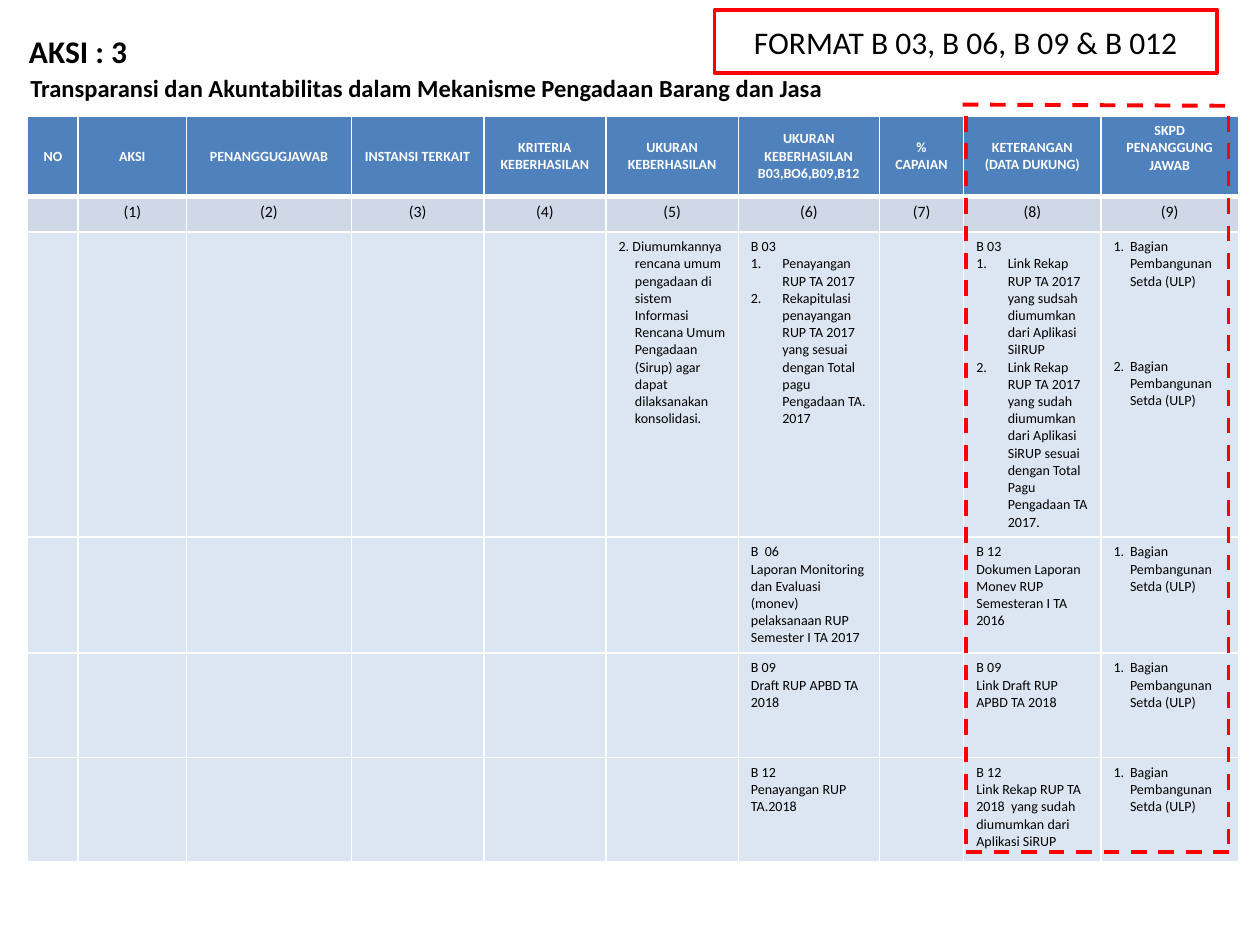
from lxml.etree import SubElement as Sub
from pptx import Presentation
from pptx.dml.color import RGBColor
from pptx.enum.dml import MSO_LINE as Dash
from pptx.enum.shapes import MSO_CONNECTOR as Conn, MSO_SHAPE as Shape
from pptx.enum.text import MSO_ANCHOR as Anchor, MSO_AUTO_SIZE as Auto, PP_ALIGN as Align
from pptx.oxml.ns import qn
from pptx.util import Inches, Pt

BLACK = RGBColor(0x00, 0x00, 0x00)
WHITE = RGBColor(0xFF, 0xFF, 0xFF)
RED = RGBColor(0xFF, 0x00, 0x00)
BLUE = RGBColor(0x4F, 0x81, 0xBD)
GREY = RGBColor(0xD0, 0xD8, 0xE8)
PALE = RGBColor(0xDC, 0xE6, 0xF2)

COLS = [0.4, 0.86, 1.31, 1.05, 0.97, 1.05, 1.12, 0.67, 1.09, 1.09]
ROWS = [0.64, 0.28, 2.42, 0.92, 0.83, 0.83]
HEADS = ["NO", "AKSI", "PENANGGUGJAWAB", "INSTANSI TERKAIT", "KRITERIA KEBERHASILAN",
         "UKURAN KEBERHASILAN", "UKURAN KEBERHASILAN B03,BO6,B09,B12", "%\nCAPAIAN",
         "KETERANGAN (DATA DUKUNG)", "SKPD PENANGGUNG JAWAB"]
UNIT = "#Bagian Pembangunan Setda (ULP)"
BODY = [
    {5: "2. Diumumkannya rencana umum pengadaan di sistem Informasi Rencana Umum "
        "Pengadaan (Sirup) agar dapat dilaksanakan konsolidasi.",
     6: "B 03\n#Penayangan RUP TA 2017\n#Rekapitulasi penayangan RUP TA 2017 yang sesuai "
        "dengan Total pagu Pengadaan TA. 2017",
     8: "B 03\n#Link Rekap RUP TA 2017 yang sudsah diumumkan dari Aplikasi SiIRUP\n"
        "#Link Rekap RUP TA 2017 yang sudah diumumkan dari Aplikasi SiRUP sesuai "
        "dengan Total Pagu Pengadaan TA 2017.",
     9: f"{UNIT}\n{UNIT}"},
    {6: "B  06\nLaporan Monitoring dan Evaluasi (monev) pelaksanaan RUP Semester I TA 2017",
     8: "B 12\nDokumen Laporan Monev RUP Semesteran I TA 2016", 9: UNIT},
    {6: "B 09\nDraft RUP APBD TA 2018", 8: "B 09\nLink Draft RUP APBD TA 2018", 9: UNIT},
    {6: "B 12\nPenayangan RUP TA.2018",
     8: "B 12\nLink Rekap RUP TA 2018  yang sudah diumumkan dari  Aplikasi SiRUP", 9: UNIT},
]
HANG = {5: 0.13, 9: 0.13}


class Deck:
    """Draws styled elements on the current slide."""

    def __init__(self):
        self.prs = Presentation()
        self.apply(self.prs, slide_width=Inches(10), slide_height=Inches(7.5))
        self.slide = self.prs.slides.add_slide(self.prs.slide_layouts[1])

    def apply(self, item, **vals):
        for key, val in vals.items():
            setattr(item, key, val)

    def font(self, run, size, color=BLACK, bold=False):
        self.apply(run.font, name="Calibri", size=Pt(size), bold=bold)
        run.font.color.rgb = color

    def para(self, para, text, size, color=BLACK, bold=False, align=Align.LEFT):
        para.alignment = align
        run = para.add_run()
        run.text = text
        self.font(run, size, color, bold)

    def indent(self, para, hang, num=0):
        props = para._p.get_or_add_pPr()
        props.set("marL", str(Inches(hang)))
        props.set("indent", str(-Inches(hang)))
        if num:
            Sub(props, qn("a:buFont"), typeface="+mj-lt")
            Sub(props, qn("a:buAutoNum"), type="arabicPeriod", startAt=str(num))
        else:
            Sub(props, qn("a:buNone"))

    def holder(self, index, text, size, box):
        item = self.slide.placeholders[index]
        self.apply(item, **dict(zip(("left", "top", "width", "height"), map(Inches, box))))
        self.apply(item.text_frame, word_wrap=True, auto_size=Auto.NONE,
                   vertical_anchor=Anchor.TOP)
        para = item.text_frame.paragraphs[0]
        para.space_before = Pt(0)
        self.indent(para, 0)
        self.para(para, text, size, bold=True)

    def badge(self, text, box):
        item = self.slide.shapes.add_shape(Shape.RECTANGLE, *map(Inches, box))
        item.shadow.inherit = False
        item.fill.solid()
        item.fill.fore_color.rgb = WHITE
        item.line.color.rgb = RED
        item.line.width = Pt(2)
        self.apply(item.text_frame, word_wrap=True, vertical_anchor=Anchor.MIDDLE)
        self.para(item.text_frame.paragraphs[0], text, 18, align=Align.CENTER)

    def dash(self, *ends):
        item = self.slide.shapes.add_connector(Conn.STRAIGHT, *map(Inches, ends))
        Sub(item._element.spPr, qn("a:effectLst"))
        item.line.color.rgb = RED
        self.apply(item.line, width=Pt(2.25), dash_style=Dash.DASH)

    def edges(self, cell, row):
        props = cell._tc.get_or_add_tcPr()
        thick = {(0, "B"), (1, "T")}
        for side in "LRTB":
            width = Pt(3 if (row, side) in thick else 1)
            line = Sub(props, qn(f"a:ln{side}"), w=str(width))
            Sub(Sub(line, qn("a:solidFill")), qn("a:srgbClr"), val=str(WHITE))

    def cell(self, cell, row, col, text):
        fill, style = [
            (BLUE, dict(size=8, color=WHITE, bold=True, align=Align.CENTER)),
            (GREY, dict(size=9, align=Align.CENTER)),
            (PALE, dict(size=8)),
        ][min(row, 2)]
        self.edges(cell, row)
        cell.fill.solid()
        cell.fill.fore_color.rgb = fill
        cell.vertical_anchor = Anchor.TOP if row else Anchor.MIDDLE
        frame = cell.text_frame
        if not text:
            Sub(frame.paragraphs[0]._p, qn("a:endParaRPr"), sz="800")
            return
        num = 0
        for pos, line in enumerate(text.split("\n")):
            para = frame.add_paragraph() if pos else frame.paragraphs[0]
            if line.startswith("#"):
                num += 1
                self.indent(para, HANG.get(col, 0.25), num)
                if col == 9 and pos:
                    para.space_before = Pt(39)
            elif row > 1 and col in HANG:
                self.indent(para, HANG[col])
            self.para(para, line.removeprefix("#"), **style)

    def table(self, left, top, data):
        size = len(ROWS), len(COLS)
        box = left, top, sum(COLS), sum(ROWS)
        grid = self.slide.shapes.add_table(*size, *map(Inches, box)).table
        self.apply(grid, first_row=False, horz_banding=False)
        for col, width in zip(grid.columns, COLS):
            col.width = Inches(width)
        for row, high in zip(grid.rows, ROWS):
            row.height = Inches(high)
        for row, texts in enumerate(data):
            for col, text in enumerate(texts):
                self.cell(grid.cell(row, col), row, col, text)
        grid.cell(0, len(COLS) - 1).margin_bottom = Inches(0.18)


def main():
    deck = Deck()
    deck.holder(0, "AKSI : 3", 18, (0.13, 0.2, 6.92, 0.4))
    deck.holder(1, "Transparansi dan Akuntabilitas dalam Mekanisme Pengadaan Barang dan Jasa",
                14, (0.14, 0.53, 10.3, 0.34))
    marks = [""] + [f"({num})" for num in range(1, len(COLS))]
    body = [[row.get(col, "") for col in range(len(COLS))] for row in BODY]
    deck.table(0.22, 0.92, [HEADS, marks, *body])
    deck.badge("FORMAT B 03, B 06, B 09 & B 012", (5.67, 0.08, 3.99, 0.5))
    deck.dash(7.64, 0.83, 9.81, 0.84)
    for left in (7.67, 9.75):
        deck.dash(left, 0.92, left, 6.7)
    deck.dash(7.67, 6.76, 9.84, 6.76)
    deck.prs.save("out.pptx")


if __name__ == "__main__":
    main()
